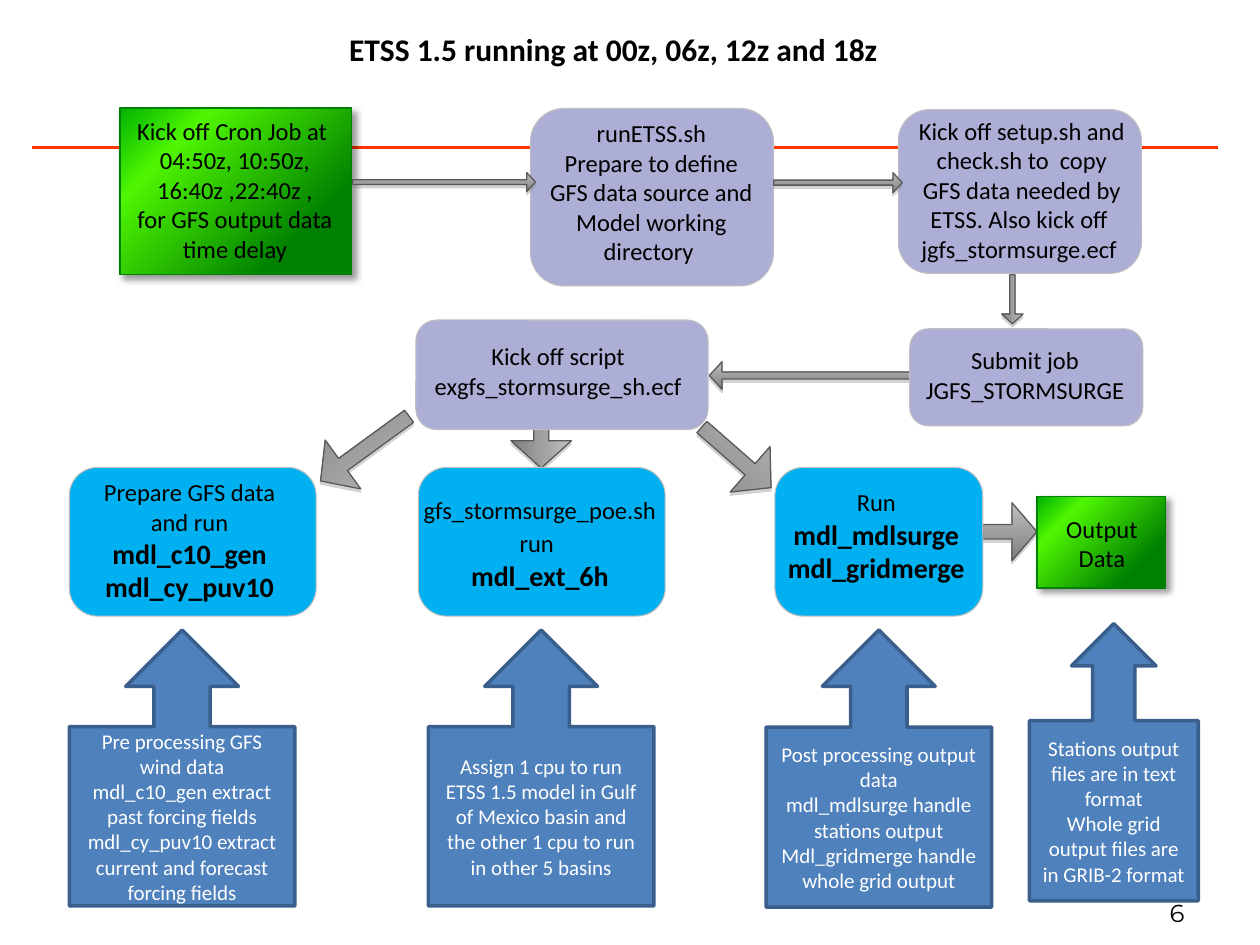
from pptx import Presentation
from pptx.dml.color import RGBColor
from pptx.enum.shapes import MSO_CONNECTOR, MSO_SHAPE
from pptx.enum.text import MSO_ANCHOR, PP_ALIGN
from pptx.oxml import parse_xml
from pptx.oxml.ns import nsdecls, qn
from pptx.util import Inches, Pt

BLACK = RGBColor(0x00, 0x00, 0x00)
WHITE = RGBColor(0xFF, 0xFF, 0xFF)
RED = RGBColor(0xFF, 0x33, 0x00)
LILAC = RGBColor(0xAD, 0xAE, 0xD6)
CYAN = RGBColor(0x00, 0xB0, 0xF0)
SILVER = RGBColor(0xC0, 0xC0, 0xC0)
GREEN = RGBColor(0x00, 0x80, 0x00)
LIME = RGBColor(0x4F, 0xF6, 0x00)
MID_GREEN = RGBColor(0x00, 0xB3, 0x00)
LIGHT_GREY = RGBColor(0xBF, 0xBF, 0xBF)
GREY = RGBColor(0x7F, 0x7F, 0x7F)
SHADE = RGBColor(0x80, 0x80, 0x80)
DARK_GREY = RGBColor(0x59, 0x59, 0x59)
BLUE = RGBColor(0x4F, 0x81, 0xBD)
DARK_BLUE = RGBColor(0x3A, 0x5F, 0x8C)

GREEN_STOPS = [(22, GREEN), (77, LIME), (100, MID_GREEN)]
GREY_STOPS = [(0, LIGHT_GREY), (100, GREY)]

TITLE = "ETSS 1.5 running at 00z, 06z, 12z and 18z"
PAGE = "6"
NODE = (14, False)
SPACE = (16, False)
PROGRAM = (16, True)

STEPS = [
    (LILAC, (4.21, 0.86, 1.93, 1.41), (4.23, 0.89, 1.88, 1.31),
     [[("runETSS.sh", NODE)],
      [("Prepare to define GFS data source and Model working directory ", NODE)]]),
    (LILAC, (7.13, 0.87, 1.93, 1.3), (7.17, 0.87, 1.88, 1.28),
     [[("Kick off setup.sh and check.sh to  copy GFS data needed by ETSS. "
        "Also kick off  jgfs_stormsurge.ecf ", NODE)]]),
    (LILAC, (7.22, 2.61, 1.85, 0.77), (7.21, 2.69, 1.85, 0.57),
     [[("Submit job JGFS_STORMSURGE", NODE)]]),
    (LILAC, (3.3, 2.54, 2.32, 0.87), (3.27, 2.66, 2.32, 0.57),
     [[("Kick off script exgfs_stormsurge_sh.ecf", NODE)]]),
    (CYAN, (0.55, 3.71, 1.96, 1.18), (0.57, 3.74, 1.87, 1.11),
     [[("Prepare GFS data and run ", NODE), ("mdl_c10_gen mdl_cy_puv10", PROGRAM)]]),
    (CYAN, (3.32, 3.71, 1.96, 1.18), (3.22, 3.88, 2.13, 0.88),
     [[("gfs_stormsurge_poe.sh run", NODE), (" ", PROGRAM)], [("mdl_ext_6h", PROGRAM)]]),
    (CYAN, (6.15, 3.71, 1.65, 1.18), (6.09, 3.79, 1.73, 0.91),
     [[("Run", NODE), (" ", SPACE), ("mdl_mdlsurge", PROGRAM)],
      [("mdl_gridmerge", PROGRAM)]]),
]

ENDPOINTS = [
    ((0.95, 0.86, 1.84, 1.32), (0.96, 0.87, 1.81, 1.28),
     [[("Kick off Cron Job at ", NODE)],
      [("04:50z, 10:50z, 16:40z ,22:40z ,", NODE)],
      [("for GFS output data time delay", NODE)]]),
    ((8.23, 3.94, 1.02, 0.73), (8.24, 4.03, 1.01, 0.57), [[("Output Data", NODE)]]),
]

RIGHT, LEFT = MSO_SHAPE.RIGHT_ARROW, MSO_SHAPE.LEFT_ARROW
ARROWS_BEHIND = [
    (RIGHT, (4.06, 3.24, 0.47, 0.48), 90),
    (RIGHT, (7.8, 3.99, 0.43, 0.46), 0),
    (LEFT, (5.63, 2.87, 1.6, 0.22), 0),
]
ARROWS_IN_FRONT = [
    (RIGHT, (2.8, 1.37, 1.45, 0.15), 0),
    (RIGHT, (6.14, 1.37, 1.02, 0.16), 0),
    (RIGHT, (7.84, 2.29, 0.39, 0.17), 90),
    (RIGHT, (5.48, 3.39, 0.73, 0.48), 41.2),
    (RIGHT, (2.46, 3.32, 0.87, 0.48), 143.9),
]

CALLOUTS = [
    ((0.55, 5, 1.79, 2.19),
     ["Pre processing GFS wind data",
      "mdl_c10_gen extract past forcing fields",
      "mdl_cy_puv10 extract current and forecast forcing fields"]),
    ((3.4, 5, 1.79, 2.19),
     ["Assign 1 cpu to run ETSS 1.5 model in Gulf of Mexico basin "
      "and the other 1 cpu to run in other 5 basins"]),
    ((6.08, 5, 1.79, 2.2),
     ["Post processing output data",
      "mdl_mdlsurge handle stations output",
      "Mdl_gridmerge handle whole grid output"]),
    ((8.17, 4.95, 1.34, 2.2),
     ["Stations output files are in text format",
      "Whole grid output files are in GRIB-2 format"]),
]


def place(box):
    return [Inches(length) for length in box]


def write(frame, paragraphs, color=BLACK, font="Calibri", align=PP_ALIGN.CENTER):
    frame.word_wrap = True
    for index, runs in enumerate(paragraphs):
        paragraph = frame.paragraphs[0] if index == 0 else frame.add_paragraph()
        paragraph.alignment = align
        for text, (size, bold) in runs:
            run = paragraph.add_run()
            run.text = text
            run.font.name = font
            run.font.size = Pt(size)
            run.font.bold = bold
            run.font.color.rgb = color


def add_label(slide, box, paragraphs, **style):
    write(slide.shapes.add_textbox(*place(box)).text_frame, paragraphs, **style)


def add_outlined(slide, preset, box, line, width, fill=None):
    shape = slide.shapes.add_shape(preset, *place(box))
    shape.shadow.inherit = False
    if fill is not None:
        shape.fill.solid()
        shape.fill.fore_color.rgb = fill
    shape.line.color.rgb = line
    shape.line.width = Pt(width)
    return shape


def add_gradient(shape, stops, angle):
    marks = "".join(f'<a:gs pos="{pos * 1000}"><a:srgbClr val="{color}"/></a:gs>'
                    for pos, color in stops)
    geometry = shape.element.spPr.find(qn("a:prstGeom"))
    geometry.addnext(parse_xml(
        f'<a:gradFill {nsdecls("a")} rotWithShape="1"><a:gsLst>{marks}</a:gsLst>'
        f'<a:lin ang="{angle * 60000}" scaled="0"/></a:gradFill>'))


def add_shadow(shape, color, opacity, blur, distance, angle):
    shape.element.spPr.find(qn("a:effectLst")).append(parse_xml(
        f'<a:outerShdw {nsdecls("a")} blurRad="{Pt(blur)}" dist="{Pt(distance)}" '
        f'dir="{angle * 60000}" rotWithShape="0"><a:srgbClr val="{color}">'
        f'<a:alpha val="{opacity * 1000}"/></a:srgbClr></a:outerShdw>'))


def add_arrows(slide, arrows):
    for preset, box, rotation in arrows:
        arrow = add_outlined(slide, preset, box, DARK_GREY, 0.75)
        arrow.adjustments[0] = 0.25
        arrow.adjustments[1] = 0.46
        arrow.rotation = rotation
        add_gradient(arrow, GREY_STOPS, 90)
        add_shadow(arrow, SHADE, 35, 0, 1.8, 90)


def main():
    deck = Presentation()
    deck.slide_width, deck.slide_height = Inches(10), Inches(7.5)
    slide = deck.slides.add_slide(deck.slide_layouts[5])

    title = slide.shapes.title
    title.left, title.top, title.width, title.height = place((2.37, 0.19, 5, 0.4))
    title.text_frame.vertical_anchor = MSO_ANCHOR.MIDDLE
    write(title.text_frame, [[(TITLE, (18, True))]])

    rule = slide.shapes.add_connector(MSO_CONNECTOR.STRAIGHT, *place((0.25, 1.17, 9.67, 1.17)))
    rule.line.color.rgb = RED
    rule.line.width = Pt(2)
    rule.element.spPr.append(parse_xml(f'<a:effectLst {nsdecls("a")}/>'))
    add_label(slide, (7.17, 7.08, 2.33, 0.27), [[(PAGE, (14, False))]],
              font="Montserrat", align=PP_ALIGN.RIGHT)

    add_arrows(slide, ARROWS_BEHIND)
    for fill, box, label_box, paragraphs in STEPS:
        step = add_outlined(slide, MSO_SHAPE.ROUNDED_RECTANGLE, box, SILVER, 0.6, fill)
        step.adjustments[0] = 0.19
        add_label(slide, label_box, paragraphs)
    for box, label_box, paragraphs in ENDPOINTS:
        endpoint = add_outlined(slide, MSO_SHAPE.RECTANGLE, box, GREEN, 1)
        add_gradient(endpoint, GREEN_STOPS, 225)
        add_shadow(endpoint, BLACK, 40, 4, 3, 45)
        add_label(slide, label_box, paragraphs)
    add_arrows(slide, ARROWS_IN_FRONT)

    for box, lines in CALLOUTS:
        callout = add_outlined(slide, MSO_SHAPE.UP_ARROW_CALLOUT, box, DARK_BLUE, 2, BLUE)
        callout.text_frame.vertical_anchor = MSO_ANCHOR.MIDDLE
        write(callout.text_frame, [[(line, (12, False))] for line in lines], WHITE)

    deck.save("out.pptx")


if __name__ == "__main__":
    main()
